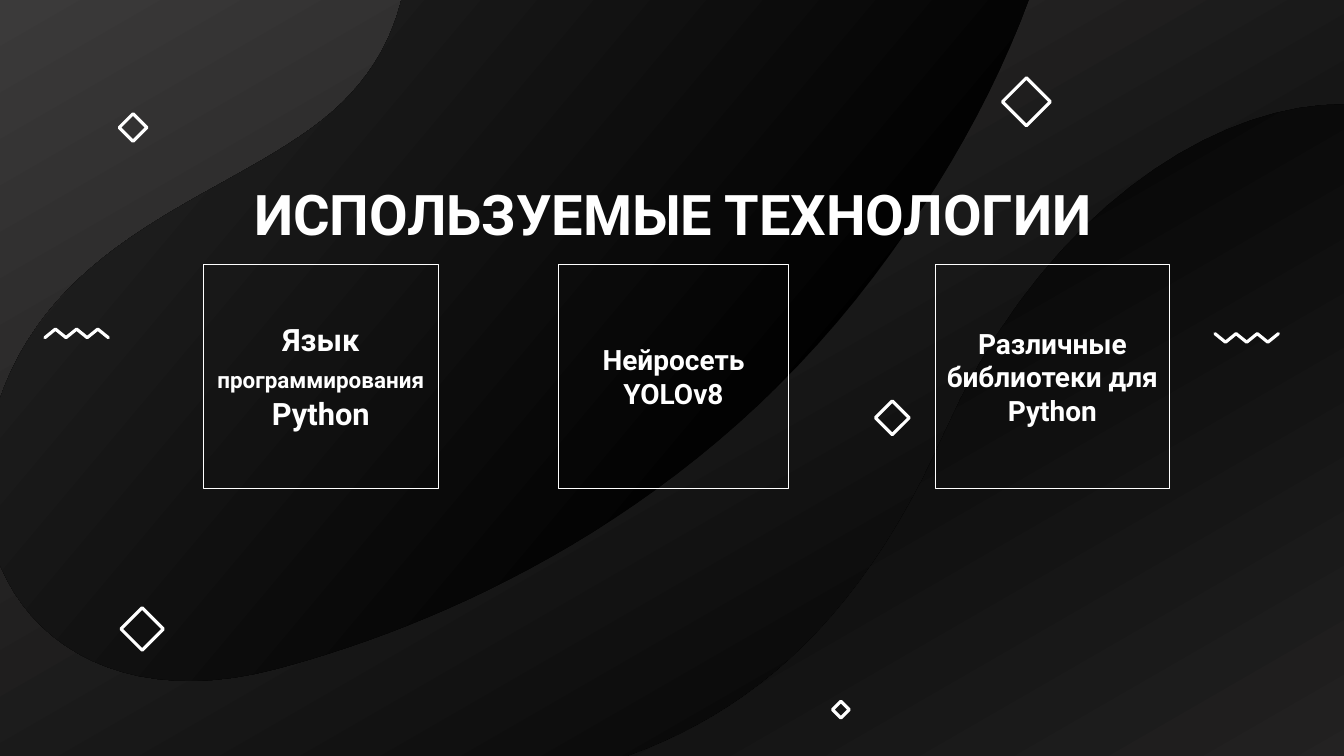
import collections
import dataclasses

import lxml.etree
import pptx
import pptx.dml.color
import pptx.enum.shapes
import pptx.enum.text
import pptx.oxml.ns
import pptx.util

COLUMNS, ROWS = 26.66, 15
CURVE_STEPS = 30

Box = collections.namedtuple("Box", "left top width height")
Blob = collections.namedtuple("Blob", "start curves stops angle")


@dataclasses.dataclass(frozen=True)
class Theme:
    font: str = "Roboto"
    light: str = "FFFFFF"
    dark: str = "000000"
    grey: str = "3B3A3A"
    title_size: int = 80
    large_size: int = 44
    card_size: int = 40
    small_size: int = 32
    frame_width: float = 1
    ornament_width: float = 4.5


THEME = Theme()
SLIDE_BOX = Box(0, 0, COLUMNS, ROWS)

BLOBS = [
    Blob((18.73, 8.6), [
        (16.55, 13.53, 13.4, 15.19, 9.63, 15.65),
        (4.77, 16.25, 3.06, 18.5, 3.1, 20.76),
        (3.2, 25.93, 9.59, 24.89, 14.86, 24.11),
        (16.2, 23.91, 19.95, 23.65, 21.23, 23.98),
        (22.71, 24.37, 24.36, 24.87, 25.94, 25.01),
        (29.02, 25.29, 32.15, 24.73, 32.6, 21.38),
        (32.94, 18.86, 31.07, 17.03, 29.7, 13.26),
        (28.34, 9.51, 30.78, 8.2, 30.21, 5.19),
        (29.23, 0, 21.91, 1.39, 18.73, 8.6),
    ], [(0.19, THEME.dark), (1, THEME.grey)], 60),
    Blob((0.08, 7.69), [
        (1.42, 4.3, 5.25, 3.74, 6.97, 1.85),
        (8.62, 0.04, 8.07, -2.16, 7.89, -4.66),
        (7.71, -7.2, 8.61, -11.06, 11.19, -12.51),
        (14.31, -14.27, 19.25, -13.28, 20.8, -8.46),
        (22.25, -3.95, 20.69, 1.05, 17.33, 5.49),
        (13.76, 10.21, 8.87, 12.37, 5.49, 13.27),
        (1.11, 14.44, -1.29, 11.16, 0.08, 7.69),
    ], [(0.22, THEME.dark), (0.98, THEME.grey)], 220),
]

DIAMONDS = [(20.36, 2.02, 0.95), (2.82, 12.48, 0.84), (16.68, 14.08, 0.33),
            (2.64, 2.53, 0.55), (17.7, 8.29, 0.67)]
ZIGZAGS = [(Box(24.1, 6.62, 1.26, 0.17), False), (Box(0.89, 6.53, 1.26, 0.17), True)]

CARD_TOP, CARD_HEIGHT = 5.24, 4.46
CARDS = [
    (4.04, 4.65, [("Язык ", THEME.large_size), ("программирования", THEME.small_size),
                  (" Python", THEME.large_size)]),
    (11.08, 4.56, [("Нейросеть YOLOv8", THEME.card_size)]),
    (18.55, 4.65, [("Различные библиотеки для Python", THEME.card_size)]),
]


def grid(cells):
    return pptx.util.Inches(cells)


def color(value):
    return pptx.dml.color.RGBColor.from_string(value)


def place(shape, box):
    shape.left, shape.top, shape.width, shape.height = map(grid, box)


def add_preset(slide, kind, box):
    shape = slide.shapes.add_shape(kind, *map(grid, box))
    shape.shadow.inherit = False
    return shape


def add_outline(slide, points, close):
    positions = [(grid(x), grid(y)) for x, y in points]
    builder = slide.shapes.build_freeform(*positions[0])
    builder.add_line_segments(positions[1:], close=close)
    shape = builder.convert_to_shape()
    shape.shadow.inherit = False
    return shape


def fill_gradient(shape, stops, angle):
    shape.line.fill.background()
    shape.fill.gradient()
    shape.fill.gradient_angle = 360 - angle
    for stop, (position, value) in zip(shape.fill.gradient_stops, stops):
        stop.position = position
        stop.color.rgb = color(value)


def draw_line(shape, width, rounded=False):
    shape.fill.background()
    shape.line.color.rgb = color(THEME.light)
    shape.line.width = pptx.util.Pt(width)
    if rounded:
        line = shape.line._get_or_add_ln()
        line.set("cap", "rnd")
        lxml.etree.SubElement(line, pptx.oxml.ns.qn("a:round"))


def format_text(shape, sizes, anchor):
    frame = shape.text_frame
    frame.word_wrap = True
    frame.vertical_anchor = anchor
    frame.margin_left = frame.margin_right = frame.margin_top = frame.margin_bottom = 0
    paragraph = frame.paragraphs[0]
    paragraph.alignment = pptx.enum.text.PP_ALIGN.CENTER
    for run, size in zip(paragraph.runs, sizes):
        run.font.name = THEME.font
        run.font.size = pptx.util.Pt(size)
        run.font.bold = True
        run.font.color.rgb = color(THEME.light)


def curve_points(blob):
    points = [blob.start]
    for x1, y1, x2, y2, x3, y3 in blob.curves:
        x0, y0 = points[-1]
        for step in range(1, CURVE_STEPS + 1):
            t = step / CURVE_STEPS
            a, b, c, d = (1 - t) ** 3, 3 * t * (1 - t) ** 2, 3 * t * t * (1 - t), t ** 3
            points.append((a * x0 + b * x1 + c * x2 + d * x3,
                           a * y0 + b * y1 + c * y2 + d * y3))
    return points


def add_backdrop(slide, box):
    base = add_preset(slide, pptx.enum.shapes.MSO_SHAPE.RECTANGLE, box)
    fill_gradient(base, [(0, THEME.grey), (0.91, THEME.dark)], 60)
    for blob in BLOBS:
        points = [(box.left + x, box.top + y) for x, y in curve_points(blob)]
        fill_gradient(add_outline(slide, points, True), blob.stops, blob.angle)


def add_zigzag(slide, box, starts_low):
    points = [(box.left + box.width * step / 6, box.top + box.height * ((step + starts_low) % 2))
              for step in range(7)]
    draw_line(add_outline(slide, points, False), THEME.ornament_width, True)


def add_ornaments(slide, box):
    for x, y, size in DIAMONDS:
        frame = Box(box.left + x - size / 2, box.top + y - size / 2, size, size)
        diamond = add_preset(slide, pptx.enum.shapes.MSO_SHAPE.DIAMOND, frame)
        draw_line(diamond, THEME.ornament_width, True)
    for frame, starts_low in ZIGZAGS:
        add_zigzag(slide, frame._replace(left=box.left + frame.left, top=box.top + frame.top),
                   starts_low)


def add_title(slide, box):
    title = slide.shapes.title
    title.element.getparent().append(title.element)
    place(title, box)
    title.text_frame.text = "ИСПОЛЬЗУЕМЫЕ ТЕХНОЛОГИИ"
    title.text_frame.auto_size = pptx.enum.text.MSO_AUTO_SIZE.SHAPE_TO_FIT_TEXT
    format_text(title, [THEME.title_size], pptx.enum.text.MSO_ANCHOR.TOP)


def add_card(slide, box, parts):
    card = add_preset(slide, pptx.enum.shapes.MSO_SHAPE.RECTANGLE, box)
    draw_line(card, THEME.frame_width)
    for text, size in parts:
        card.text_frame.paragraphs[0].add_run().text = text
    format_text(card, [size for text, size in parts], pptx.enum.text.MSO_ANCHOR.MIDDLE)


def main():
    presentation = pptx.Presentation()
    presentation.slide_width, presentation.slide_height = grid(COLUMNS), grid(ROWS)
    slide = presentation.slides.add_slide(presentation.slide_layouts[5])
    add_backdrop(slide, SLIDE_BOX)
    add_ornaments(slide, SLIDE_BOX)
    add_title(slide, Box(3.42, 3.56, 19.87, 1.35))
    for left, width, parts in CARDS:
        add_card(slide, Box(left, CARD_TOP, width, CARD_HEIGHT), parts)
    presentation.save("out.pptx")


if __name__ == "__main__":
    main()
